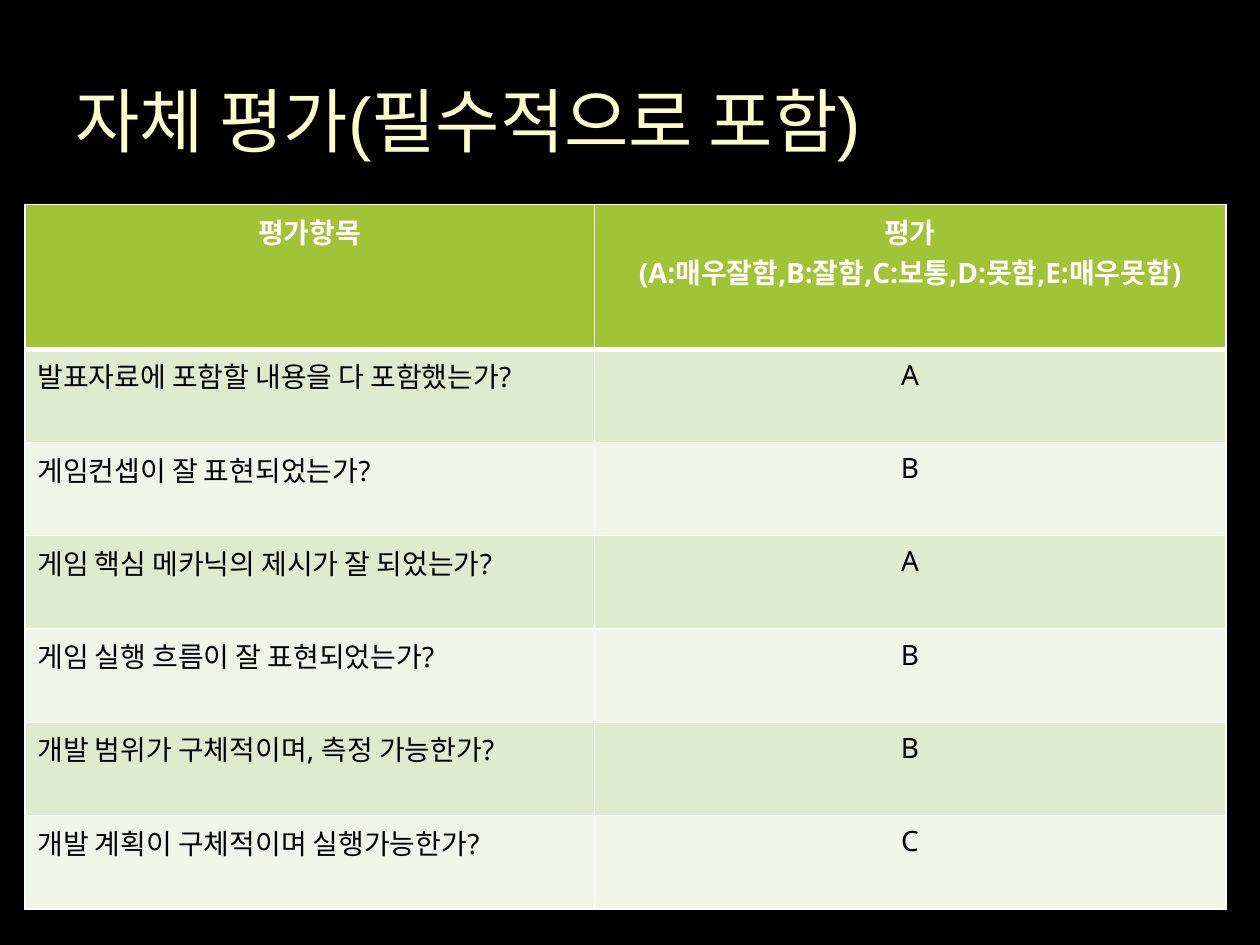
from dataclasses import dataclass

from lxml.etree import SubElement
from pptx import Presentation
from pptx.dml.color import RGBColor
from pptx.enum.text import MSO_ANCHOR, PP_ALIGN
from pptx.oxml.ns import qn
from pptx.util import Cm, Pt


@dataclass(frozen=True)
class Theme:
    background: str = "000000"
    title: str = "FBFEC6"
    header: str = "A0C435"
    header_text: str = "FFFFFF"
    body_text: str = "000000"
    bands: tuple = ("DFEACE", "F0F5E8")
    border: str = "FFFFFF"
    title_font: str = "Arial"
    table_font: str = "Noto Sans"
    title_size: int = 40
    table_size: int = 16
    thin: int = 1
    thick: int = 3


class SlideBuilder:
    def __init__(self, deck, theme):
        self.theme = theme
        self.page = deck.slides.add_slide(deck.slide_layouts[6])
        fill = self.page.background.fill
        fill.solid()
        fill.fore_color.rgb = RGBColor.from_string(theme.background)

    def style(self, frame, font, size, color, bold=False, align=PP_ALIGN.LEFT):
        for para in frame.paragraphs:
            para.alignment = align
            for span in para.runs:
                span.font.name = font
                span.font.size = Pt(size)
                span.font.bold = bold
                span.font.color.rgb = RGBColor.from_string(color)

    def title(self, text, left, top, width, height):
        box = self.page.shapes.add_textbox(Cm(left), Cm(top), Cm(width), Cm(height))
        frame = box.text_frame
        frame.word_wrap = True
        frame.vertical_anchor = MSO_ANCHOR.MIDDLE
        frame.text = text
        self.style(frame, self.theme.title_font, self.theme.title_size, self.theme.title)

    def borders(self, cell, top, bottom):
        properties = cell._tc.get_or_add_tcPr()
        thin = self.theme.thin
        for side, width in zip("LRTB", (thin, thin, top, bottom)):
            line = SubElement(properties, qn(f"a:ln{side}"), w=str(Pt(width)))
            fill = SubElement(line, qn("a:solidFill"))
            SubElement(fill, qn("a:srgbClr"), val=self.theme.border)

    def cell(self, cell, text, row, column):
        theme = self.theme
        is_header = row == 0
        self.borders(
            cell,
            top=theme.thick if row == 1 else theme.thin,
            bottom=theme.thick if is_header else theme.thin,
        )
        cell.fill.solid()
        color = theme.header if is_header else theme.bands[(row - 1) % 2]
        cell.fill.fore_color.rgb = RGBColor.from_string(color)
        cell.text_frame.text = text
        self.style(
            cell.text_frame,
            theme.table_font,
            theme.table_size,
            theme.header_text if is_header else theme.body_text,
            bold=is_header,
            align=PP_ALIGN.CENTER if is_header or column else PP_ALIGN.LEFT,
        )

    def table(self, rows, left, top, widths, header_height, row_height):
        heights = [header_height] + [row_height] * (len(rows) - 1)
        table = self.page.shapes.add_table(
            len(rows), len(widths), Cm(left), Cm(top), Cm(sum(widths)), Cm(sum(heights))
        ).table
        for column, width in zip(table.columns, widths):
            column.width = Cm(width)
        for row, (height, texts) in enumerate(zip(heights, rows)):
            table.rows[row].height = Cm(height)
            for column, text in enumerate(texts):
                self.cell(table.cell(row, column), text, row, column)


def main():
    deck = Presentation()
    deck.slide_width, deck.slide_height = Cm(25.4), Cm(19.05)
    builder = SlideBuilder(deck, Theme())
    builder.title("자체 평가(필수적으로 포함)", 1.27, 1.2, 18.97, 2.4)
    evaluation = [
        ("평가항목", "평가\n(A:매우잘함,B:잘함,C:보통,D:못함,E:매우못함)"),
        ("발표자료에 포함할 내용을 다 포함했는가?", "A"),
        ("게임컨셉이 잘 표현되었는가?", "B"),
        ("게임 핵심 메카닉의 제시가 잘 되었는가?", "A"),
        ("게임 실행 흐름이 잘 표현되었는가?", "B"),
        ("개발 범위가 구체적이며, 측정 가능한가?", "B"),
        ("개발 계획이 구체적이며 실행가능한가?", "C"),
    ]
    builder.table(evaluation, 0.5, 4.12, (11.48, 12.73), 2.92, 1.88)
    deck.save("out.pptx")


if __name__ == "__main__":
    main()
